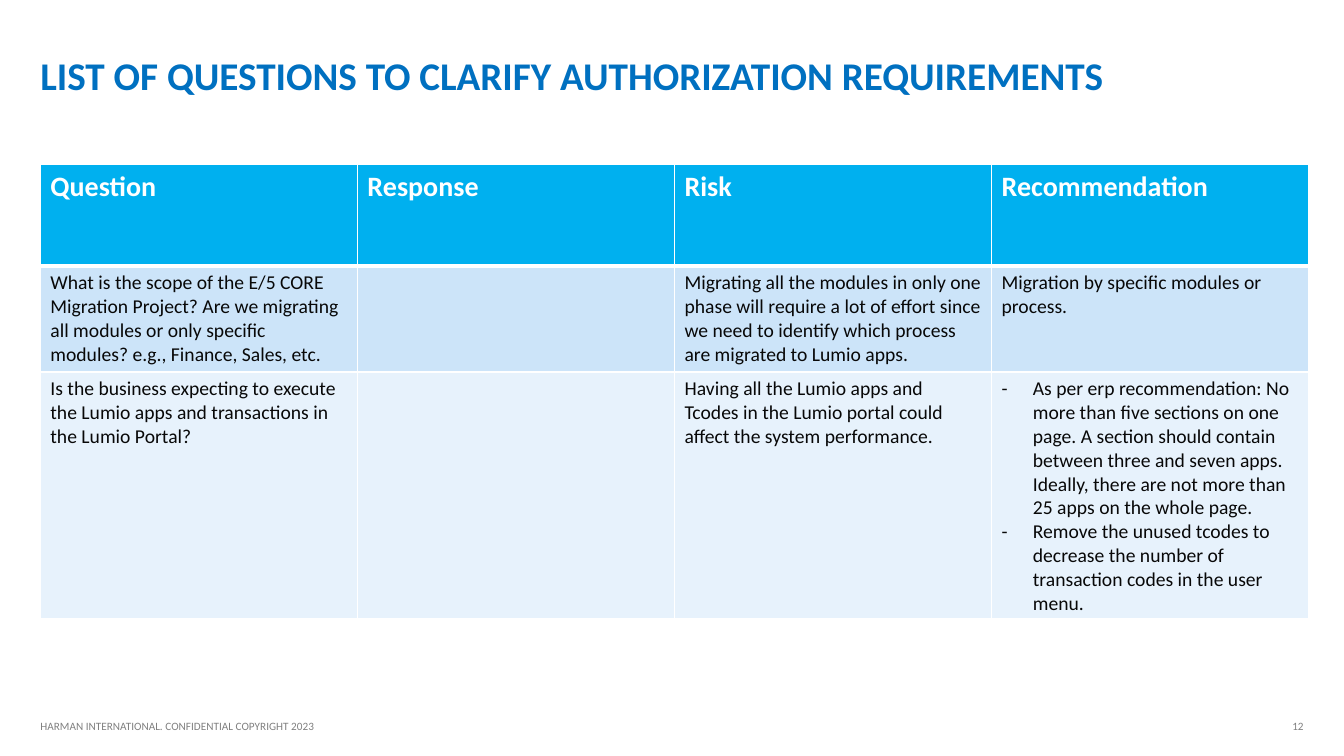
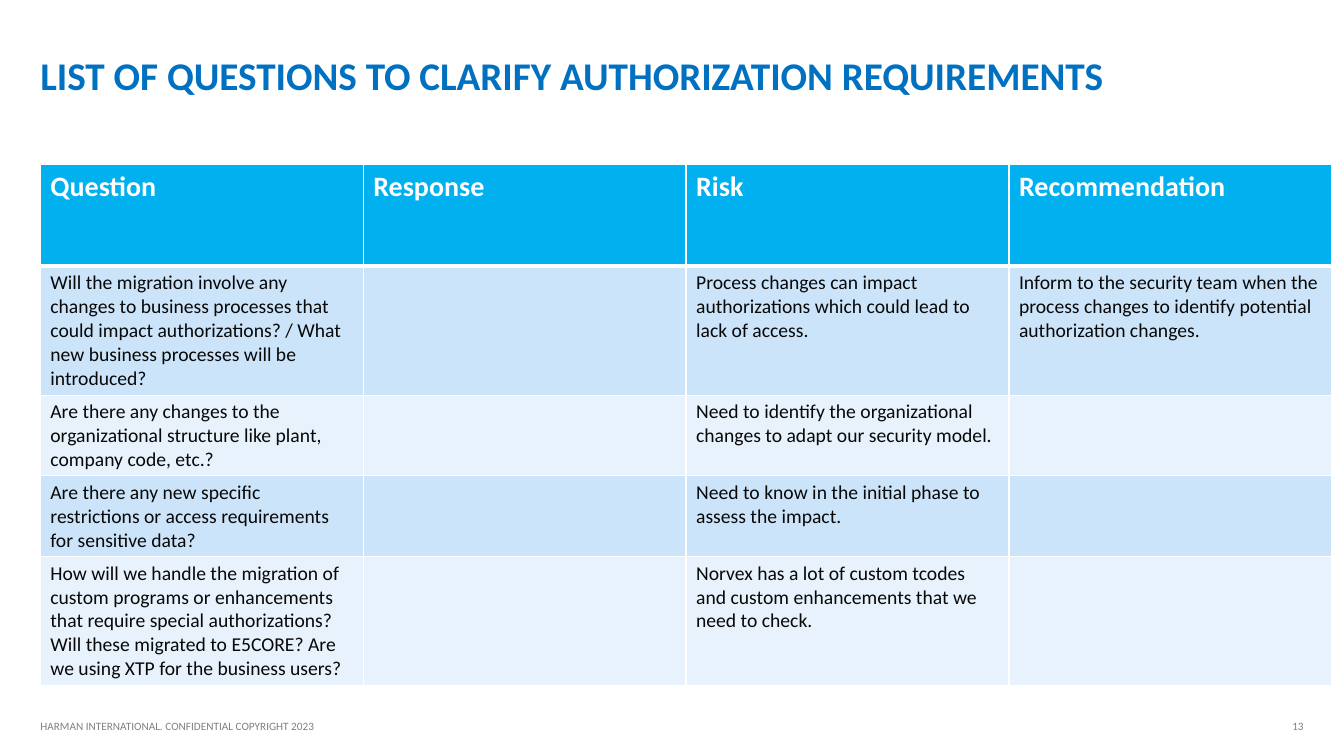
from dataclasses import dataclass

from lxml import etree
from pptx import Presentation
from pptx.dml.color import RGBColor
from pptx.enum.text import MSO_ANCHOR, PP_ALIGN
from pptx.oxml.ns import qn
from pptx.slide import Slide
from pptx.table import Table, _Cell
from pptx.text.text import TextFrame, _Paragraph
from pptx.util import Inches, Pt

TOP = MSO_ANCHOR.TOP
LEFT = PP_ALIGN.LEFT
RIGHT = PP_ALIGN.RIGHT

FONT = "Calibri"
BLUE = "0070C0"
CYAN = "00B0EF"
WHITE = "FFFFFF"
INK = "080808"
GRAY = "808080"
BANDS = ("CCE4F9", "E7F2FC")

MARGIN = 0.4
HEAD_H = 1.01
TITLE = "LIST OF QUESTIONS TO CLARIFY AUTHORIZATION REQUIREMENTS"
FOOTER = "HARMAN INTERNATIONAL. CONFIDENTIAL COPYRIGHT 2023"
HEADS = ("Question", "Response", "Risk", "Recommendation")


@dataclass(frozen=True)
class Style:
    size: int
    color: str
    bold: bool = False
    align: PP_ALIGN = LEFT


@dataclass(frozen=True)
class Entry:
    """One table row; several advice items become a dashed list."""
    height: float
    question: str
    risk: str
    advice: tuple[str, ...] = ()


@dataclass(frozen=True)
class Page:
    number: int
    width: float
    entries: tuple[Entry, ...]


TITLE_STYLE = Style(28, BLUE, True)
HEAD_STYLE = Style(20, WHITE, True)
CELL_STYLE = Style(14, INK)
FOOT_STYLE = Style(8, GRAY)
NUMBER_STYLE = Style(8, GRAY, align=RIGHT)

PAGES = (
    Page(12, 12.58, (
        Entry(
            1.05,
            "What is the scope of the E/5 CORE Migration Project? Are we "
            "migrating all modules or only specific modules? e.g., Finance, "
            "Sales, etc.",
            "Migrating all the modules in only one phase will require a lot "
            "of effort since we need to identify which process are migrated "
            "to Lumio apps.",
            ("Migration by specific modules or process.",),
        ),
        Entry(
            2.45,
            "Is the business expecting to execute the Lumio apps and "
            "transactions in the Lumio Portal?",
            "Having all the Lumio apps and Tcodes in the Lumio portal could "
            "affect the system performance.",
            (
                "As per erp recommendation: No more than five sections on "
                "one page. A section should contain between three and seven "
                "apps. Ideally, there are not more than 25 apps on the whole "
                "page.",
                "Remove the unused tcodes to decrease the number of "
                "transaction codes in the user menu.",
            ),
        ),
    )),
    Page(13, 12.81, (
        Entry(
            1.28,
            "Will the migration involve any changes to business processes "
            "that could impact authorizations? / What new business processes "
            "will be introduced?",
            "Process changes can impact authorizations which could lead to "
            "lack of access.",
            ("Inform to the security team when the process changes to "
             "identify potential authorization changes.",),
        ),
        Entry(
            0.8,
            "Are there any changes to the organizational structure like "
            "plant, company code, etc.?",
            "Need to identify the organizational changes to adapt our "
            "security model.",
        ),
        Entry(
            0.8,
            "Are there any new specific restrictions or access requirements "
            "for sensitive data?",
            "Need to know in the initial phase to assess the impact.",
        ),
        Entry(
            1.28,
            "How will we handle the migration of custom programs or "
            "enhancements that require special authorizations? Will these "
            "migrated to E5CORE? Are we using XTP for the business users?",
            "Norvex has a lot of custom tcodes and custom enhancements that "
            "we need to check.",
        ),
    )),
)


def rgb(value: str) -> RGBColor:
    return RGBColor.from_string(value)


def add_dash(para: _Paragraph) -> None:
    props = para._p.get_or_add_pPr()
    indent = Inches(0.31)
    props.set("marL", str(indent))
    props.set("indent", str(-indent))
    etree.SubElement(props, qn("a:buFont")).set("typeface", FONT)
    etree.SubElement(props, qn("a:buChar")).set("char", "-")


def write(frame: TextFrame, lines: tuple[str, ...], style: Style) -> None:
    frame.text = "\n".join(lines)
    for para in frame.paragraphs:
        if len(lines) > 1:
            add_dash(para)
        para.alignment = style.align
        for run in para.runs:
            font = run.font
            font.name = FONT
            font.size = Pt(style.size)
            font.bold = style.bold
            font.color.rgb = rgb(style.color)


def trim(frame: TextFrame) -> None:
    """Wrap text from the top left corner, without insets."""
    frame.word_wrap = True
    frame.vertical_anchor = TOP
    frame.margin_left = frame.margin_right = 0
    frame.margin_top = frame.margin_bottom = 0


def add_border(cell: _Cell, side: str, width: int) -> None:
    line = etree.SubElement(cell._tc.get_or_add_tcPr(), qn(f"a:ln{side}"))
    line.set("w", str(Pt(width)))
    fill = etree.SubElement(line, qn("a:solidFill"))
    etree.SubElement(fill, qn("a:srgbClr")).set("val", WHITE)


def fill_row(table: Table, row: int, height: float,
             texts: tuple[tuple[str, ...], ...],
             fill: str, style: Style) -> None:
    table.rows[row].height = Inches(height)
    widths = {"L": 1, "R": 1, "T": 3 if row == 1 else 1,
              "B": 3 if row == 0 else 1}
    for col, lines in enumerate(texts):
        cell = table.cell(row, col)
        for side, width in widths.items():
            add_border(cell, side, width)
        cell.fill.solid()
        cell.fill.fore_color.rgb = rgb(fill)
        write(cell.text_frame, lines, style)


def add_grid(slide: Slide, page: Page) -> None:
    height = HEAD_H + sum(entry.height for entry in page.entries)
    table = slide.shapes.add_table(
        len(page.entries) + 1, len(HEADS), Inches(MARGIN), Inches(1.63),
        Inches(page.width), Inches(height)).table
    table.horz_banding = False
    fill_row(table, 0, HEAD_H, tuple((head,) for head in HEADS),
             CYAN, HEAD_STYLE)
    for row, entry in enumerate(page.entries, 1):
        texts = ((entry.question,), (), (entry.risk,), entry.advice)
        fill_row(table, row, entry.height, texts,
                 BANDS[(row - 1) % len(BANDS)], CELL_STYLE)


def add_title(slide: Slide) -> None:
    title = slide.shapes.title
    title.left, title.top = Inches(MARGIN), Inches(0.51)
    title.width, title.height = Inches(10.61), Inches(0.94)
    trim(title.text_frame)
    write(title.text_frame, (TITLE,), TITLE_STYLE)


def add_note(slide: Slide, left: float, width: float,
             text: str, style: Style) -> None:
    """Add one small line at the foot of the slide."""
    box = slide.shapes.add_textbox(
        Inches(left), Inches(7.14), Inches(width), Inches(0.15))
    trim(box.text_frame)
    write(box.text_frame, (text,), style)


def main() -> None:
    deck = Presentation()
    deck.slide_width, deck.slide_height = Inches(13.33), Inches(7.5)
    layout = deck.slide_layouts.get_by_name("Title Only")
    for page in PAGES:
        slide = deck.slides.add_slide(layout)
        add_note(slide, 12.24, 0.69, str(page.number), NUMBER_STYLE)
        add_note(slide, MARGIN, 4.95, FOOTER, FOOT_STYLE)
        add_title(slide)
        add_grid(slide, page)
    deck.save("out.pptx")


if __name__ == "__main__":
    main()
